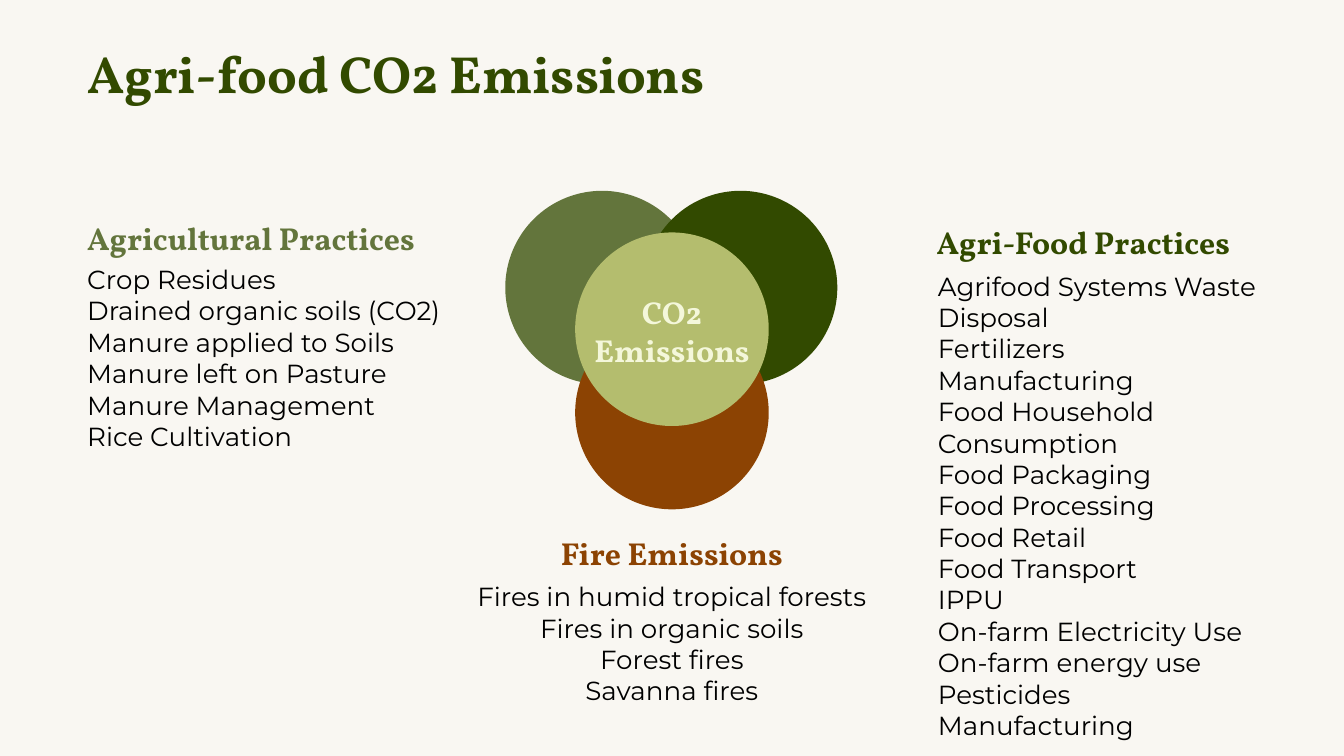
from dataclasses import dataclass

from pptx import Presentation
from pptx.dml.color import RGBColor
from pptx.enum.shapes import MSO_SHAPE
from pptx.enum.text import MSO_ANCHOR, MSO_AUTO_SIZE, PP_ALIGN
from pptx.slide import Slide
from pptx.text.text import TextFrame
from pptx.util import Inches, Pt

LEFT, CENTER = PP_ALIGN.LEFT, PP_ALIGN.CENTER
TOP, MIDDLE = MSO_ANCHOR.TOP, MSO_ANCHOR.MIDDLE
NO_FIT = MSO_AUTO_SIZE.NONE
OVAL = MSO_SHAPE.OVAL

HEX = {
    "paper": "F9F7F2",
    "ink": "000000",
    "forest": "324A00",
    "moss": "63753C",
    "rust": "8C4303",
    "lime": "B4BD6E",
    "cream": "F4F7DA",
}
TITLE = {"name": "Vollkorn", "size": Pt(28), "bold": True}
HEAD = {"name": "Vollkorn", "size": Pt(17), "bold": True}
BODY = {"name": "Montserrat", "size": Pt(14), "bold": False}
WIDTH = 10
HEIGHT = WIDTH * 9 / 16
DISC = 1.44

Box = tuple[float, float, float, float]


@dataclass
class Group:
    head: str
    color: str
    head_box: Box
    body_box: Box
    items: list[str]
    align: PP_ALIGN = LEFT


@dataclass
class Disc:
    left: float
    top: float
    color: str


GROUPS = [
    Group("Agricultural Practices", "moss",
          (0.55, 1.53, 2.89, 0.64), (0.55, 1.86, 2.89, 1.52),
          ["Crop Residues", "Drained organic soils (CO2)",
           "Manure applied to Soils", "Manure left on Pasture",
           "Manure Management", "Rice Cultivation"]),
    Group("Fire Emissions", "rust",
          (3.4, 3.87, 3.2, 0.51), (3.4, 4.22, 3.2, 0.71),
          ["Fires in humid tropical forests", "Fires in organic soils",
           "Forest fires", "Savanna fires"], CENTER),
    Group("Agri-Food Practices", "forest",
          (6.87, 1.56, 2.61, 0.54), (6.88, 1.91, 2.61, 2.47),
          ["Agrifood Systems Waste Disposal", "Fertilizers Manufacturing",
           "Food Household Consumption", "Food Packaging",
           "Food Processing", "Food Retail", "Food Transport", "IPPU",
           "On-farm Electricity Use", "On-farm energy use",
           "Pesticides Manufacturing"]),
]
DISCS = [
    Disc(3.76, 1.42, "moss"),
    Disc(4.79, 1.42, "forest"),
    Disc(4.28, 2.35, "rust"),
    Disc(4.28, 1.73, "lime"),
]


def rgb(color: str) -> RGBColor:
    return RGBColor.from_string(HEX[color])


def write(frame: TextFrame, lines: list[str], style: dict, color: str,
          align: PP_ALIGN = LEFT, anchor: MSO_ANCHOR = TOP) -> None:
    """Fill a frame with one paragraph a line, all in the same style."""
    setup = {"word_wrap": True, "auto_size": NO_FIT, "vertical_anchor": anchor}
    for side in ("left", "top", "right", "bottom"):
        setup[f"margin_{side}"] = Inches(0.1)
    for key, value in setup.items():
        setattr(frame, key, value)
    for i, line in enumerate(lines):
        para = frame.add_paragraph() if i else frame.paragraphs[0]
        para.alignment = align
        run = para.add_run()
        run.text = line
        for key, value in style.items():
            setattr(run.font, key, value)
        run.font.color.rgb = rgb(color)


def add_text(slide: Slide, box: Box, lines: list[str], style: dict,
             color: str, align: PP_ALIGN = LEFT,
             anchor: MSO_ANCHOR = TOP) -> None:
    shape = slide.shapes.add_textbox(*map(Inches, box))
    write(shape.text_frame, lines, style, color, align, anchor)


def add_title(slide: Slide, text: str, box: Box) -> None:
    title = slide.shapes.title
    for key, value in zip(("left", "top", "width", "height"), box):
        setattr(title, key, Inches(value))
    write(title.text_frame, [text], TITLE, "forest")


def add_group(slide: Slide, group: Group) -> None:
    add_text(slide, group.body_box, group.items, BODY, "ink", group.align)
    add_text(slide, group.head_box, [group.head], HEAD, group.color,
             group.align)


def add_disc(slide: Slide, disc: Disc) -> None:
    shape = slide.shapes.add_shape(OVAL, Inches(disc.left), Inches(disc.top),
                                   Inches(DISC), Inches(DISC))
    shape.shadow.inherit = False
    shape.fill.solid()
    shape.fill.fore_color.rgb = rgb(disc.color)
    shape.line.fill.background()


def main() -> None:
    deck = Presentation()
    deck.slide_width, deck.slide_height = Inches(WIDTH), Inches(HEIGHT)
    slide = deck.slides.add_slide(deck.slide_layouts[5])
    slide.background.fill.solid()
    slide.background.fill.fore_color.rgb = rgb("paper")

    add_title(slide, "Agri-food CO2 Emissions", (0.55, 0.21, 8.42, 0.64))
    for group in GROUPS:
        add_group(slide, group)
    for disc in DISCS:
        add_disc(slide, disc)
    add_text(slide, (4.29, 2.12, 1.42, 0.68), ["CO2 Emissions"], HEAD,
             "cream", CENTER, MIDDLE)
    deck.save("out.pptx")


if __name__ == "__main__":
    main()
